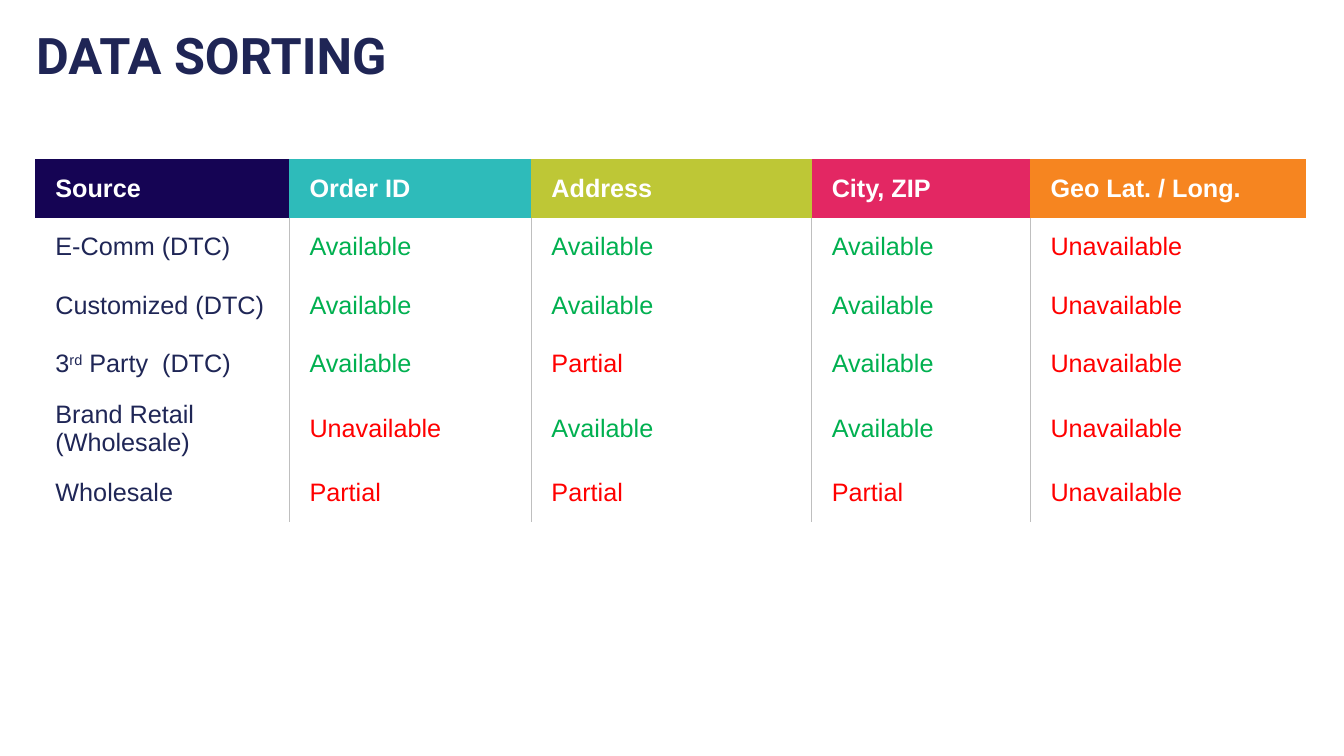
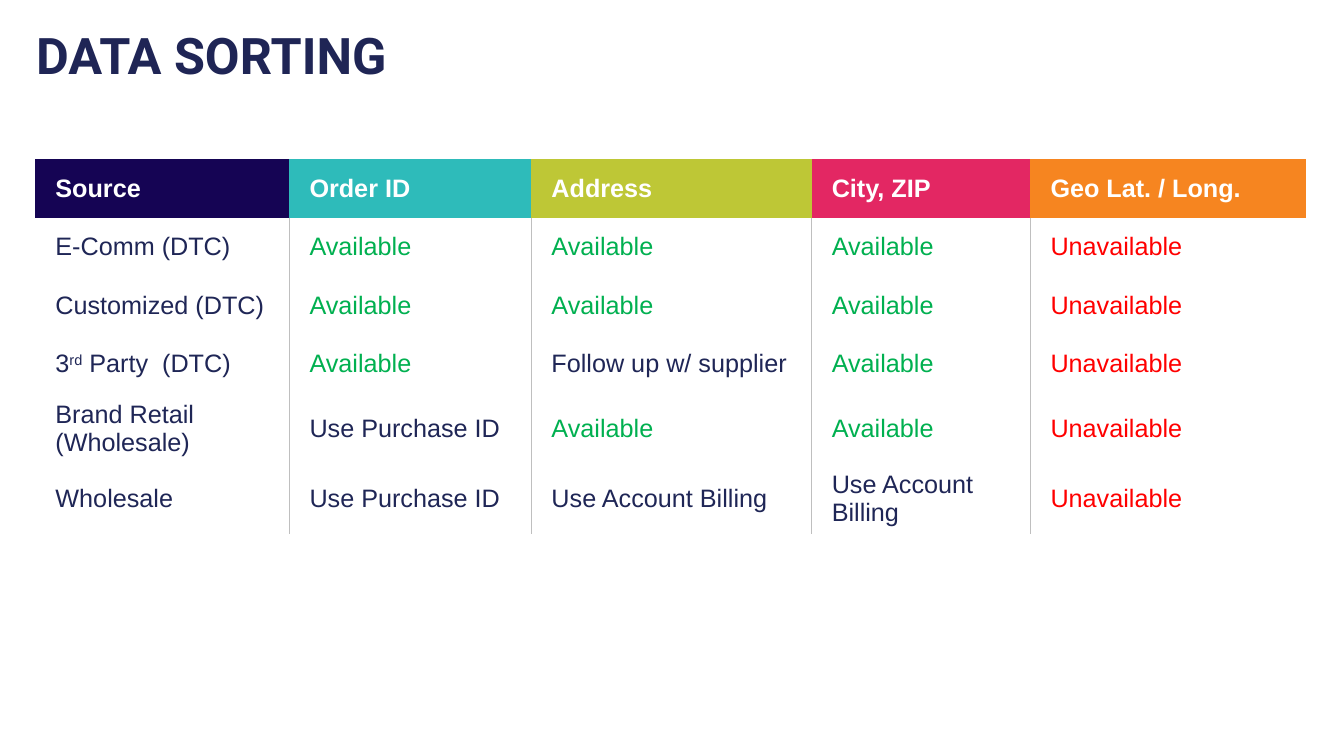
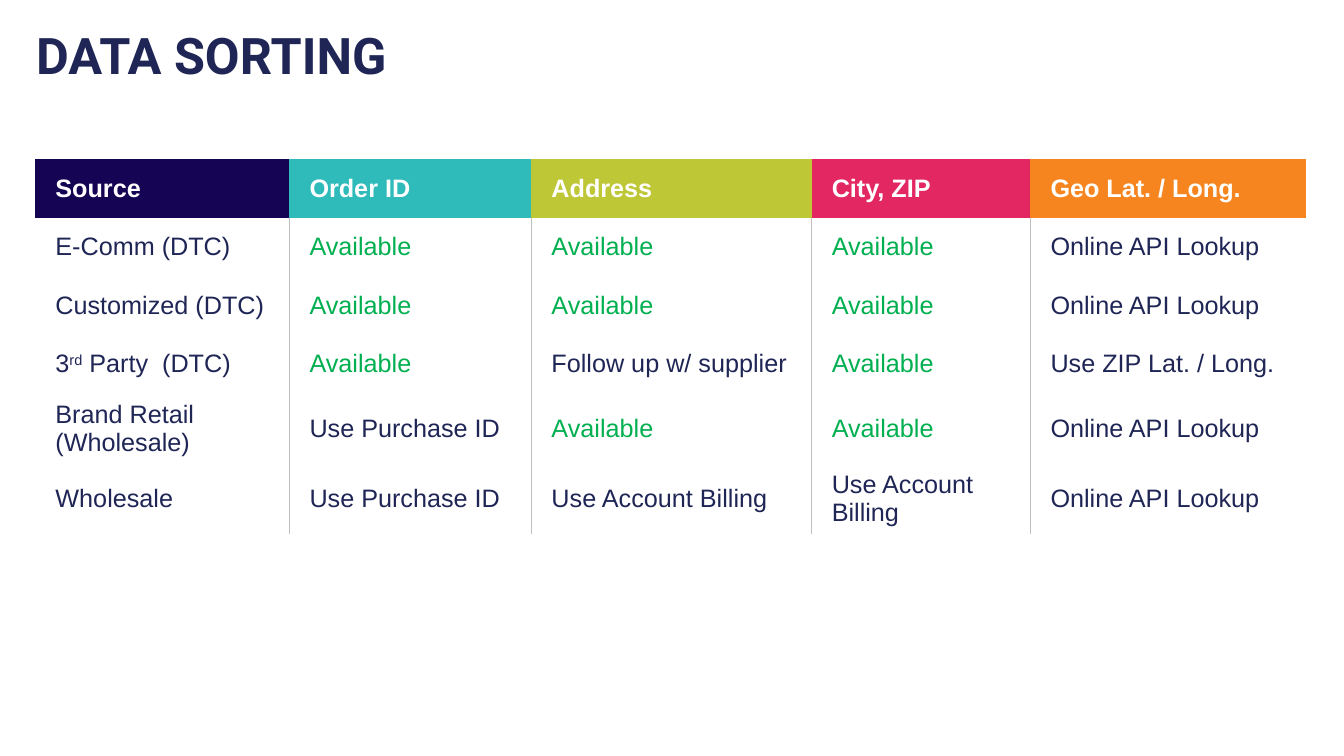
from dataclasses import dataclass

from lxml.etree import SubElement
from pptx import Presentation
from pptx.dml.color import RGBColor
from pptx.enum.text import MSO_ANCHOR
from pptx.oxml.ns import qn
from pptx.util import Inches, Pt


@dataclass(frozen=True)
class Theme:
    """Colours, fonts and type sizes shared by all slides."""
    title: str = "1F2555"
    body: str = "1F2656"
    good: str = "00B050"
    bad: str = "FF0000"
    white: str = "FFFFFF"
    rule: str = "BFBFBF"
    title_font: str = "Roboto"
    body_font: str = "Arial"
    title_size: int = 36
    body_size: int = 18


THEME = Theme()

FIELDS = [
    ("Source", 2.52, "150454"),
    ("Order ID", 2.4, "2EBBBA"),
    ("Address", 2.78, "BEC736"),
    ("City, ZIP", 2.17, "E32763"),
    ("Geo Lat. / Long.", 2.73, "F68520"),
]
ROW_HEIGHT = 0.58

STATUS_COLORS = {
    "Available": THEME.good,
    "Partial": THEME.bad,
    "Unavailable": THEME.bad,
}
AVAILABILITY = {
    "E-Comm (DTC)": ["Available", "Available", "Available", "Unavailable"],
    "Customized (DTC)": ["Available", "Available", "Available", "Unavailable"],
    "3rd Party  (DTC)": ["Available", "Partial", "Available", "Unavailable"],
    "Brand Retail (Wholesale)": ["Unavailable", "Available", "Available", "Unavailable"],
    "Wholesale": ["Partial", "Partial", "Partial", "Unavailable"],
}
ORDER_FIXES = {
    ("3rd Party  (DTC)", "Address"): "Follow up w/ supplier",
    ("Brand Retail (Wholesale)", "Order ID"): "Use Purchase ID",
    ("Wholesale", "Order ID"): "Use Purchase ID",
    ("Wholesale", "Address"): "Use Account Billing",
    ("Wholesale", "City, ZIP"): "Use Account Billing",
}
GEO_FIXES = {(source, "Geo Lat. / Long."): "Online API Lookup" for source in AVAILABILITY}
GEO_FIXES["3rd Party  (DTC)", "Geo Lat. / Long."] = "Use ZIP Lat. / Long."


def write(frame, text, *, color, size=THEME.body_size, font=THEME.body_font,
          bold=False, superscript="", line_spacing=None):
    """Write one paragraph, raising the superscript part if it occurs."""
    paragraph = frame.paragraphs[0]
    paragraph.line_spacing = line_spacing
    parts = text.partition(superscript) if superscript else (text,)
    for part in filter(None, parts):
        run = paragraph.add_run()
        run.text = part
        run.font.name = font
        run.font.size = Pt(size)
        run.font.bold = bold
        run.font.color.rgb = RGBColor.from_string(color)
        if part == superscript:
            run.font._element.set("baseline", "30000")


def set_borders(cell, ruled_sides):
    """Draw thin rules on the named sides and clear the other sides."""
    properties = cell._tc.get_or_add_tcPr()
    for side in "LRTB":
        line = SubElement(properties, qn(f"a:ln{side}"), w=str(Pt(1)))
        if side in ruled_sides:
            fill = SubElement(line, qn("a:solidFill"))
            SubElement(fill, qn("a:srgbClr"), val=THEME.rule)
        else:
            SubElement(line, qn("a:noFill"))


def fill_cell(cell, text, *, fill, ruled_sides="", **text_format):
    """Give a table cell its margins, borders, fill and text."""
    cell.margin_left = cell.margin_right = Inches(0.2)
    cell.margin_top = cell.margin_bottom = Inches(0.05)
    cell.vertical_anchor = MSO_ANCHOR.MIDDLE
    set_borders(cell, ruled_sides)
    cell.fill.solid()
    cell.fill.fore_color.rgb = RGBColor.from_string(fill)
    write(cell.text_frame, text, **text_format)


def add_title(slide, text):
    """Add the slide title."""
    title = slide.shapes.add_textbox(Inches(0.26), Inches(0.26), Inches(11.1), Inches(0.64))
    title.text_frame.word_wrap = True
    title.text_frame.vertical_anchor = MSO_ANCHOR.MIDDLE
    write(title.text_frame, text, color=THEME.title, size=THEME.title_size,
          font=THEME.title_font, bold=True, line_spacing=0.9)


def add_source_table(slide, fixes):
    """Add the table of sources, with fixes in place of missing data."""
    row_count = len(AVAILABILITY) + 1
    table = slide.shapes.add_table(
        row_count, len(FIELDS), Inches(0.35), Inches(1.58),
        Inches(sum(width for _, width, _ in FIELDS)), Inches(ROW_HEIGHT * row_count)).table
    table.first_row = table.horz_banding = False
    for row in table.rows:
        row.height = Inches(ROW_HEIGHT)
    last = len(FIELDS) - 1
    for column, (field, width, header_fill) in enumerate(FIELDS):
        table.columns[column].width = Inches(width)
        fill_cell(table.cell(0, column), field, fill=header_fill, color=THEME.white, bold=True)
        ruled_sides = ("L" if column > 0 else "") + ("R" if column < last else "")
        for row, (source, statuses) in enumerate(AVAILABILITY.items(), start=1):
            entry = fixes.get((source, field), [source, *statuses][column])
            fill_cell(table.cell(row, column), entry, fill=THEME.white, ruled_sides=ruled_sides,
                      color=STATUS_COLORS.get(entry, THEME.body),
                      superscript="rd" if entry.startswith("3rd") else "")


def main():
    """Build the three stages of data sorting."""
    deck = Presentation()
    deck.slide_width, deck.slide_height = Inches(13.33), Inches(7.5)
    for fixes in ({}, ORDER_FIXES, ORDER_FIXES | GEO_FIXES):
        slide = deck.slides.add_slide(deck.slide_layouts[6])
        add_title(slide, "DATA SORTING")
        add_source_table(slide, fixes)
    deck.save("out.pptx")


if __name__ == "__main__":
    main()
